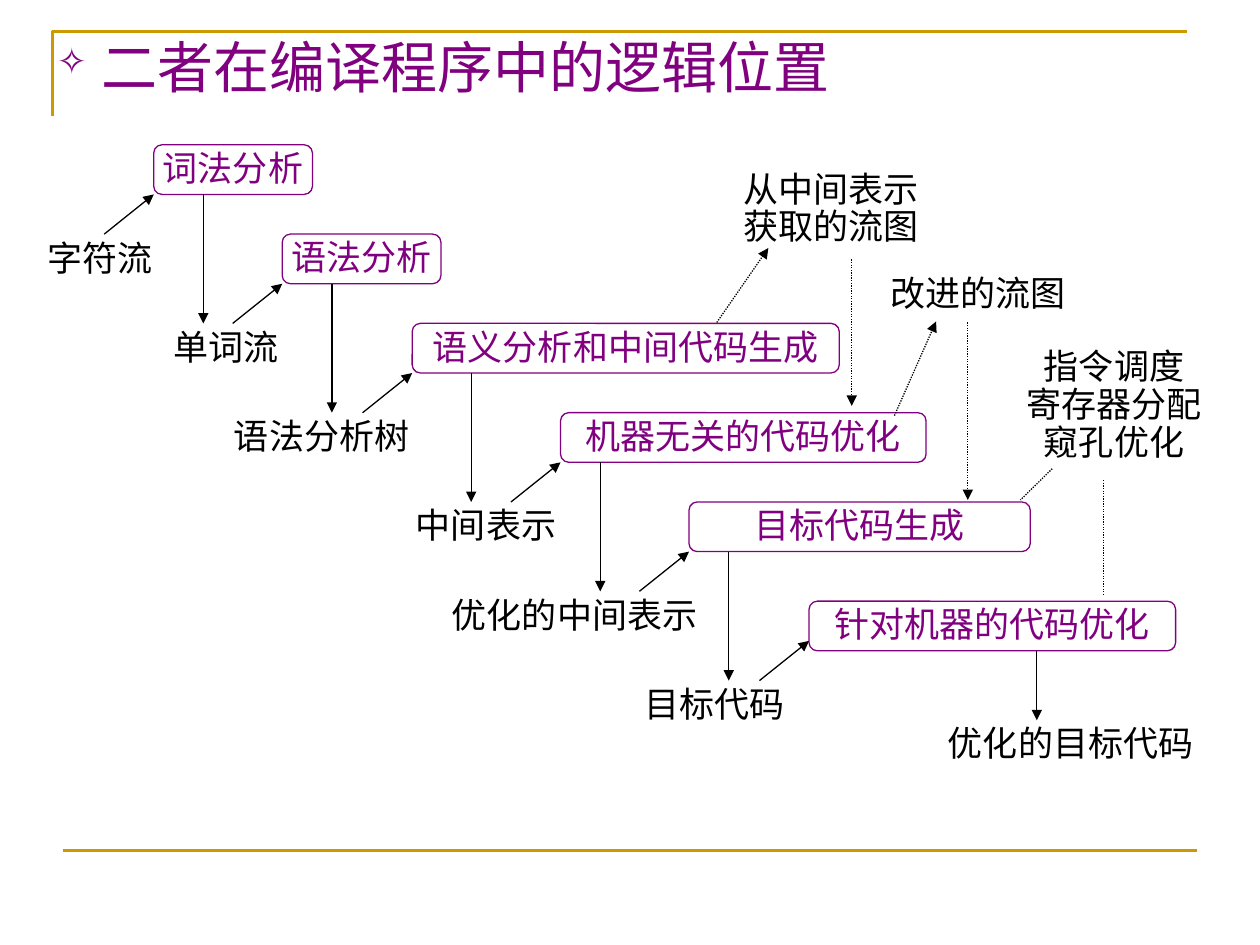
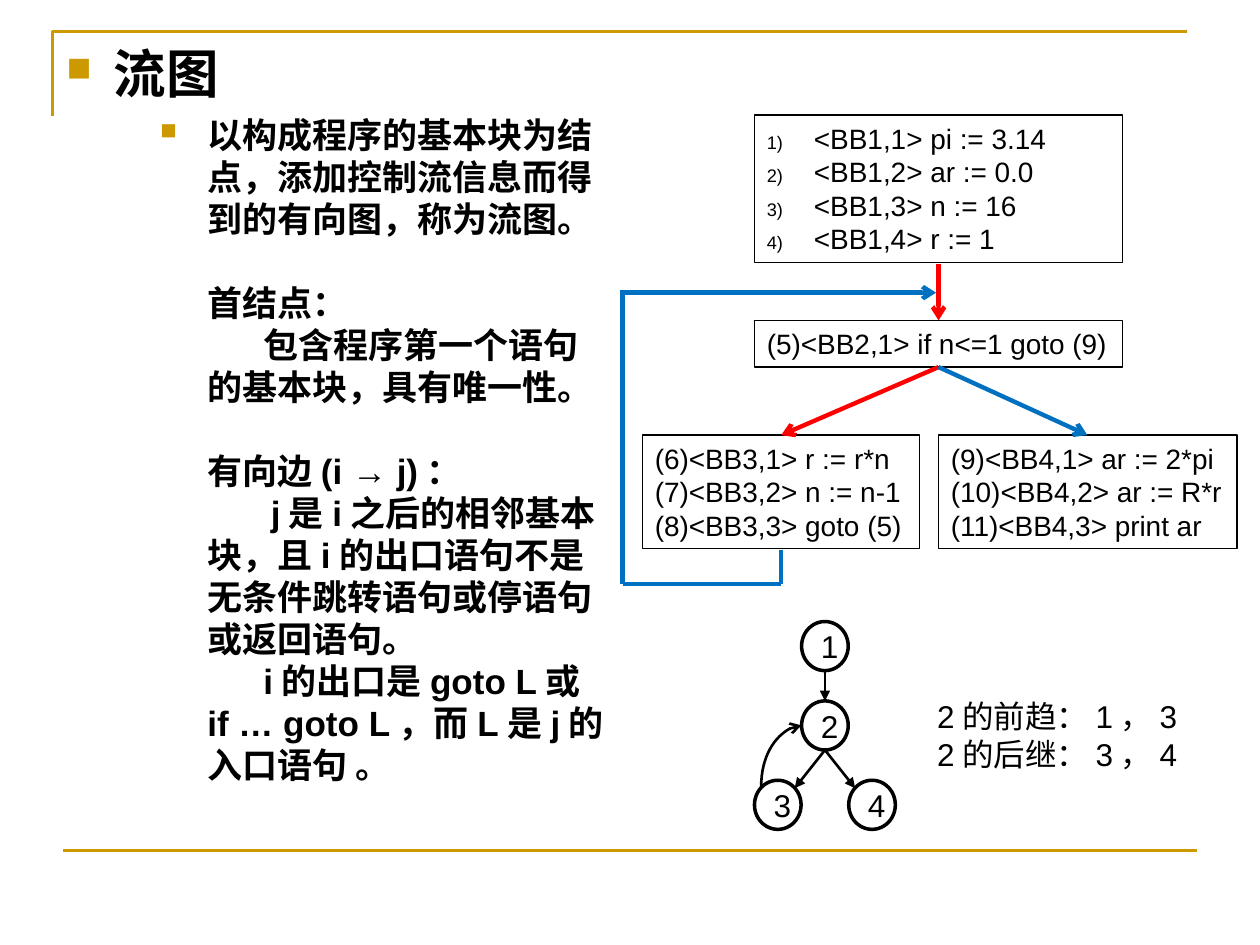
import pptx
import pptx.dml.color
import pptx.enum.dml
import pptx.enum.shapes
import pptx.enum.text
import pptx.oxml.ns
import pptx.util
from lxml import etree

Cm = pptx.util.Cm
Pt = pptx.util.Pt
FORM = pptx.enum.shapes.MSO_SHAPE
LINK = pptx.enum.shapes.MSO_CONNECTOR
ALIGN = pptx.enum.text.PP_ALIGN
ANCHOR = pptx.enum.text.MSO_ANCHOR
HUE = {"gold": "CC9900", "plum": "800080", "ink": "000000",
       "red": "FF0000", "blue": "0070C0", "white": "FFFFFF"}
LATIN, HAN = "Arial", "Noto Sans CJK SC"


def tint(name):
    """Return the named colour."""
    return pptx.dml.color.RGBColor.from_string(HUE[name])


def child(parent, tag, **attrs):
    """Append a drawing element with its attributes."""
    return etree.SubElement(parent, pptx.oxml.ns.qn(tag), attrs)


def stroke(shape, hue, width):
    """Set the outline of a shape or line."""
    shape.line.color.rgb = tint(hue)
    shape.line.width = Pt(width)


def bullet(para, hue, mark=None):
    """Give a paragraph a mark, or a number when no mark is named."""
    props = para._p.get_or_add_pPr()
    child(child(props, "a:buClr"), "a:srgbClr", val=HUE[hue])
    child(props, "a:buSzPct", val="65000")
    if mark:
        child(props, "a:buChar", char=mark)
    else:
        child(props, "a:buAutoNum", type="arabicParenR")


def indent(para, left, first):
    """Set the left margin and first-line indent in centimetres."""
    props = para._p.get_or_add_pPr()
    props.set("marL", str(Cm(left)))
    props.set("indent", str(Cm(first)))


def write(para, text, size, hue="ink", bold=False, font=LATIN):
    """Add one run to a paragraph."""
    run = para.add_run()
    run.text = text
    run.font.size = Pt(size)
    run.font.name = font
    run.font.bold = bold
    run.font.color.rgb = tint(hue)


def lead(para, size, part=1):
    """Fix the line pitch for Chinese text of a given size."""
    para.line_spacing = Pt(round(size * 1.2 * part, 1))


def paras(frame, count):
    """Return the wanted number of paragraphs in an empty frame."""
    return [frame.paragraphs[0]] + [frame.add_paragraph() for _ in range(count - 1)]


def area(slide, left, top, width, height, wrap=True):
    """Add an empty text box and return its frame."""
    frame = slide.shapes.add_textbox(Cm(left), Cm(top), Cm(width), Cm(height)).text_frame
    frame.word_wrap = wrap
    return frame


def form(slide, kind, left, top, width, height, hue, line, fill=None):
    """Add an outlined preset shape."""
    shape = slide.shapes.add_shape(kind, Cm(left), Cm(top), Cm(width), Cm(height))
    shape.shadow.inherit = False
    if fill:
        shape.fill.solid()
        shape.fill.fore_color.rgb = tint(fill)
    else:
        shape.fill.background()
    stroke(shape, hue, line)
    return shape


def link(slide, start, end, hue="ink", width=0.75, head="triangle", kind=LINK.STRAIGHT):
    """Add a line between two points, with an arrowhead unless head is None."""
    line = slide.shapes.add_connector(kind, *[Cm(v) for v in (*start, *end)])
    stroke(line, hue, width)
    if head:
        child(line.line._get_or_add_ln(), "a:tailEnd", type=head)
    child(line._element.spPr, "a:effectLst")
    return line


def center(frame, lines, size, hue="ink", part=0.9):
    """Fill a frame with centred lines."""
    for para, text in zip(paras(frame, len(lines)), lines):
        para.alignment = ALIGN.CENTER
        lead(para, size, part)
        write(para, text, size, hue)


def base(deck):
    """Add a blank slide with the gold corner and the foot line."""
    slide = deck.slides.add_slide(deck.slide_layouts[6])
    left, top = Cm(1.06), Cm(0.63)
    path = slide.shapes.build_freeform(left, top + Cm(1.7))
    path.add_line_segments([(left, top), (left + Cm(22.86), top)], close=False)
    corner = path.convert_to_shape()
    corner.shadow.inherit = False
    corner.fill.background()
    stroke(corner, "gold", 1.5)
    link(slide, (1.27, 17.15), (24.13, 17.15), "gold", 1.5, None)
    return slide


def title(slide, left, top):
    """Write the plum heading of the pipeline slide."""
    para = area(slide, left, top, 19.28, 1.63).paragraphs[0]
    indent(para, 0.9, -0.9)
    bullet(para, "plum", "✧")
    lead(para, 32)
    write(para, "二者", 32, "plum")
    write(para, "在编译程序中的逻辑位置", 32, "plum", font=HAN)


def stairs(slide, left, top):
    """Draw the compiler phases as a staircase with their inputs."""
    rise, tall = 1.8, 1
    steps = [("词法分析", 2.39, 3.2, 1, "字符流", 0, 2.62),
             ("语法分析", 4.98, 3.2, 1, "单词流", 2.54, 2.62),
             ("语义分析和中间代码生成", 7.6, 8.61, 1.19, "语法分析树", 3.58, 4.39),
             ("机器无关的代码优化", 10.59, 7.37, 0.8, "中间表示", 7.39, 3.4),
             ("目标代码生成", 13.18, 6.88, 0.8, "优化的中间表示", 7.98, 5.79),
             ("针对机器的代码优化", 15.6, 7.39, None, "目标代码", 11.99, 3.4)]
    for i, (phase, x, width, drop, feed, near, span) in enumerate(steps):
        high = top + rise * i
        low = high + rise
        sink = 0 if drop else 0.2
        step = form(slide, FORM.ROUNDED_RECTANGLE, left + x, high + sink, width, tall,
                    "plum", 0.75, "white")
        step.text_frame.word_wrap = False
        step.text_frame.vertical_anchor = ANCHOR.MIDDLE
        center(step.text_frame, [phase], 20, "plum")
        center(area(slide, left + near, low, span, 1.02, False), [feed], 20)
        link(slide, (left + x - 1, low), (left + x, high + tall))
        if drop:
            link(slide, (left + x + drop, high + tall), (left + x + drop, low + rise))
    link(slide, (left + 20.19, top + 10.21), (left + 20.19, top + 11.6))
    center(area(slide, left + 17.98, top + 11.58, 5.79, 1.02, False), ["优化的目标代码"], 20)


def notes(slide, left, top):
    """Add the remarks above the staircase and their dotted lines."""
    for x, y, tall, lines in [(13.92, 0.41, 1.78, ["从中间表示获取的流图"]),
                              (16.89, 2.51, 1.02, ["改进的流图"]),
                              (19.63, 3.99, 2.54, ["指令调度", "寄存器分配", "窥孔优化"])]:
        center(area(slide, left + x, top + y, 4.24, tall), lines, 20)
    for x, y, far, deep, head in [(13.74, 3.58, 14.78, 2.08, "triangle"),
                                  (16.46, 2.31, 16.46, 5.26, "triangle"),
                                  (17.32, 5.46, 18.16, 3.56, "triangle"),
                                  (18.8, 3.58, 18.8, 7.16, "triangle"),
                                  (21.54, 6.76, 21.54, 9.07, None),
                                  (20.5, 6.53, 19.86, 7.16, None)]:
        line = link(slide, (left + x, top + y), (left + far, top + deep), head=head)
        line.line.dash_style = pptx.enum.dml.MSO_LINE.ROUND_DOT


def prose(slide, left, top):
    """Write the definition of a flow graph."""
    items = [("以构成程序的基本块为结点，添加控制流信息而得到的有向图，称为流图。", -0.95, 5),
             ("首结点：", 0, 24),
             ("包含程序第一个语句的基本块，具有唯一性。", 1.13, 0),
             ("有向边(i → j)：", 0, 24),
             ("j是i之后的相邻基本块，且i的出口语句不是无条件跳转语句或停语句或返回语句。", 1.28, 0),
             ("i的出口是goto L或if … goto L，而L是j的入口语句 。", 1.13, 0)]
    head, *rest = paras(area(slide, left, top, 11.4, 16), len(items) + 1)
    indent(head, 0.95, -0.95)
    bullet(head, "gold", "■")
    lead(head, 30)
    write(head, "流图", 30, bold=True)
    for para, (text, first, gap) in zip(rest, items):
        indent(para, 2.84, first)
        if first < 0:
            bullet(para, "gold", "■")
        lead(para, 20)
        para.space_before = Pt(gap)
        write(para, text, 20, bold=True)


def blocks(slide, left, top):
    """Draw the basic blocks of code and the jumps between them."""
    codes = [(2.71, 0, 7.42, 2.97, ["<BB1,1> pi := 3.14", "<BB1,2> ar := 0.0",
                                    "<BB1,3> n := 16", "<BB1,4> r := 1"]),
             (2.71, 4.14, 7.42, 0.94, ["(5)<BB2,1> if n<=1 goto (9)"]),
             (0.45, 6.45, 5.59, 2.29, ["(6)<BB3,1> r := r*n", "(7)<BB3,2> n := n-1",
                                       "(8)<BB3,3> goto (5)"]),
             (6.42, 6.45, 6.02, 2.29, ["(9)<BB4,1> ar := 2*pi", "(10)<BB4,2> ar := R*r",
                                       "(11)<BB4,3> print ar"])]
    for x, y, width, tall, lines in codes:
        frame = form(slide, FORM.RECTANGLE, left + x, top + y, width, tall,
                     "ink", 0.75).text_frame
        frame.word_wrap = True
        frame.vertical_anchor = ANCHOR.TOP
        for para, text in zip(paras(frame, len(lines)), lines):
            para.alignment = ALIGN.LEFT
            if not text.startswith("("):
                indent(para, 0.95, -0.95)
                bullet(para, "ink")
            write(para, text, 16)
    mid, back, loop = 6.42, 3.25, 3.58
    for start, end, hue, head in [((mid, 3), (mid, 4.14), "red", "arrow"),
                                  ((mid, 5.08), (back, 6.45), "red", "arrow"),
                                  ((mid, 5.08), (9.42, 6.45), "blue", "arrow"),
                                  ((back, 8.76), (back, 9.45), "blue", None),
                                  ((0.05, 9.45), (back, 9.45), "blue", None),
                                  ((0.05, 9.45), (0.05, loop), "blue", None),
                                  ((0, loop), (6.37, loop), "blue", "arrow")]:
        link(slide, (left + start[0], top + start[1]), (left + end[0], top + end[1]),
             hue, 2.5, head)


def graph(slide, left, top):
    """Draw the small graph of four nodes and its caption."""
    for name, col, row in [("1", 1, 0), ("2", 1, 1), ("3", 0, 2), ("4", 2, 2)]:
        node = form(slide, FORM.OVAL, left + 0.95 * col, top + 1.6 * row, 0.94, 0.99, "ink", 2)
        node.text_frame.word_wrap = True
        node.text_frame.vertical_anchor = ANCHOR.MIDDLE
        para = node.text_frame.paragraphs[0]
        para.alignment = ALIGN.CENTER
        write(para, name, 18)
    mid = 1.42
    for y, x, deep in [(0.99, mid, 1.6), (2.59, 0.81, 3.36), (2.59, 2.03, 3.36)]:
        link(slide, (left + mid, top + y), (left + x, top + deep), width=1.5)
    bend = link(slide, (left + 1.16, top + 3.12), (left - 0.08, top + 2.31),
                width=1.5, head="arrow", kind=LINK.CURVE)
    bend._element.spPr.find(pptx.oxml.ns.qn("a:prstGeom")).set("prst", "curvedConnector2")
    bend._element.spPr.find(pptx.oxml.ns.qn("a:xfrm")).set("rot", "5400000")
    lines = ["2的前趋：1，3", "2的后继：3，4"]
    frame = area(slide, left + 3.43, top + 1.4, 6.2, 1.78)
    for para, text in zip(paras(frame, 2), lines):
        lead(para, 18)
        write(para, text, 18)


def main():
    """Build both slides and save the deck."""
    deck = pptx.Presentation()
    deck.slide_width, deck.slide_height = Cm(25.4), Cm(19.05)
    slide = base(deck)
    title(slide, 0.89, 0.53)
    stairs(slide, 0.71, 2.92)
    notes(slide, 0.71, 2.92)
    slide = base(deck)
    prose(slide, 1.09, 0.71)
    blocks(slide, 12.5, 2.32)
    graph(slide, 15.21, 12.53)
    deck.save("out.pptx")


if __name__ == "__main__":
    main()
